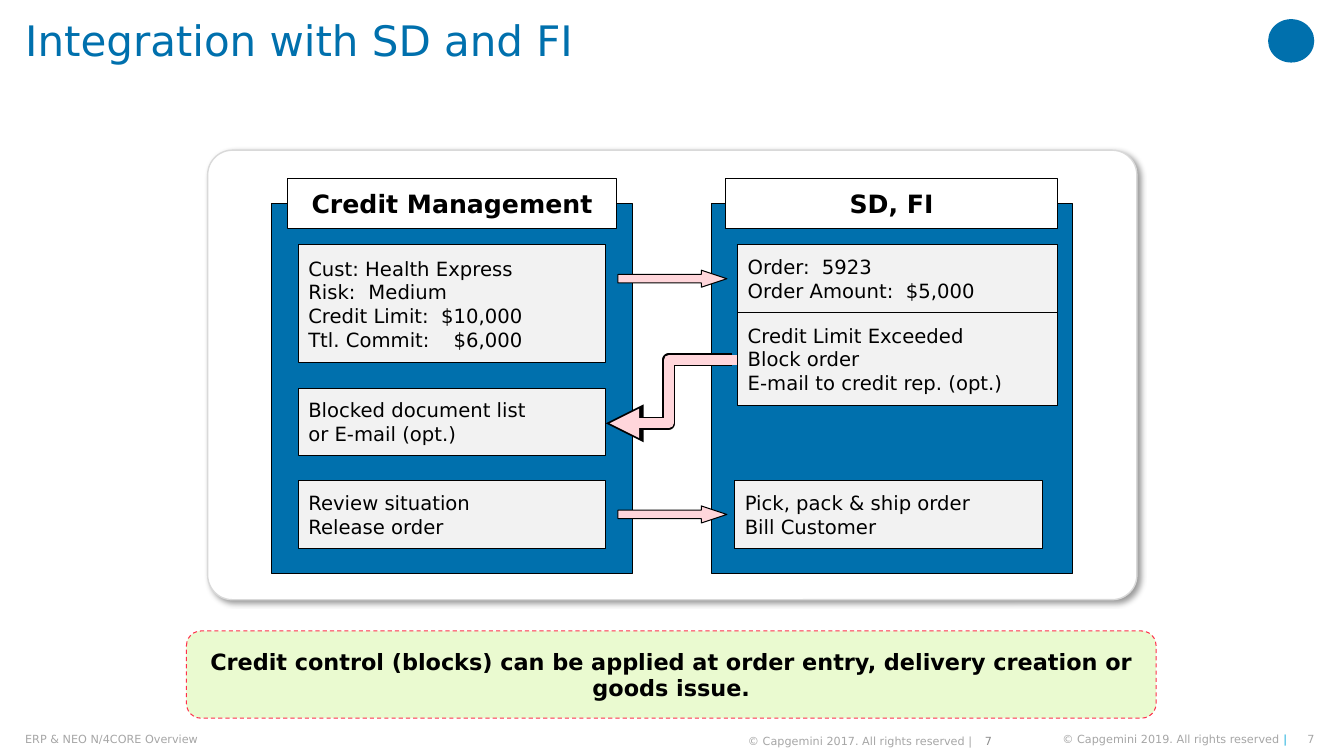
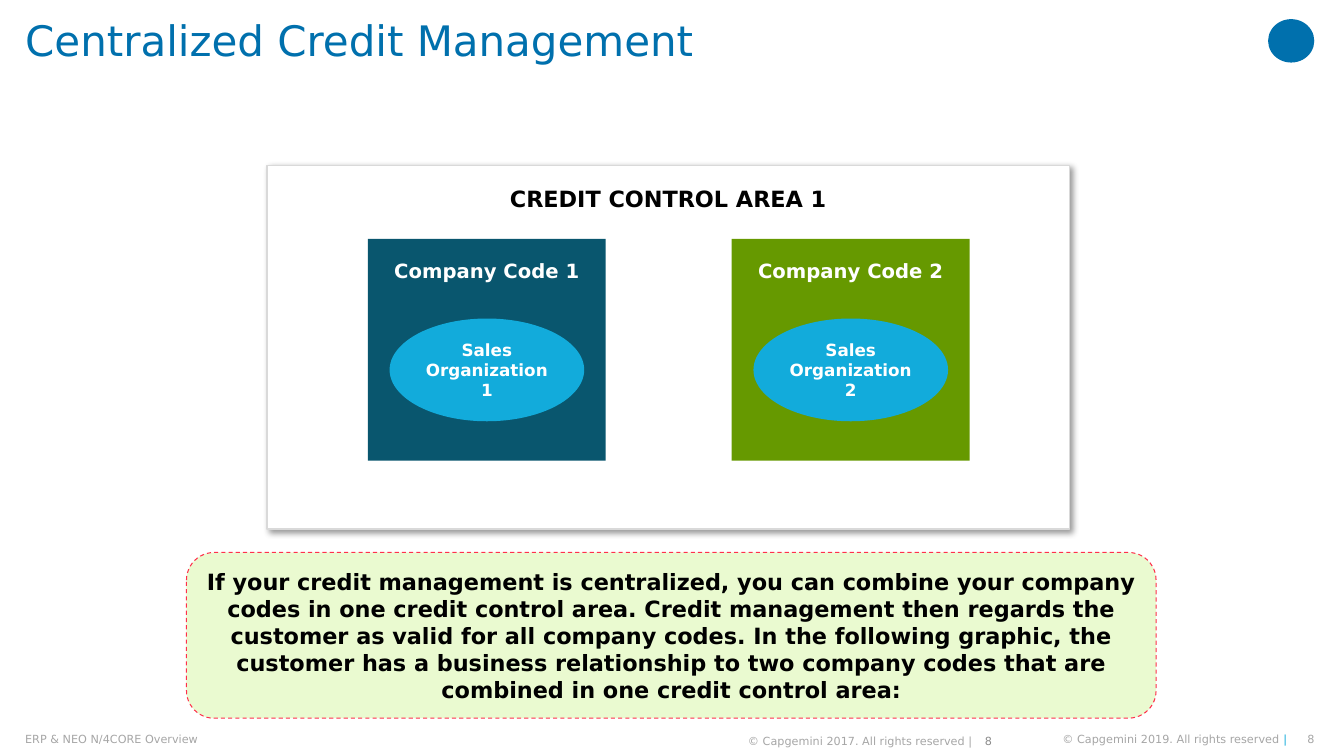
from lxml.etree import SubElement
from pptx import Presentation
from pptx.dml.color import RGBColor as Rgb
from pptx.enum.dml import MSO_LINE_DASH_STYLE as Dash
from pptx.enum.shapes import MSO_CONNECTOR as Link, MSO_SHAPE as Kind
from pptx.enum.text import MSO_ANCHOR as Anchor, MSO_AUTO_SIZE as AutoSize, PP_ALIGN as Align
from pptx.oxml.ns import qn
from pptx.util import Pt

FONT = "DejaVu Sans"
COLORS = {
    "blue": "0070AD", "sky": "12ABDB", "teal": "09566E", "green": "669900",
    "pink": "FFD6DB", "red": "FF304C", "lime": "EAFAD0", "white": "FFFFFF",
    "black": "000000", "pale": "F2F2F2", "rule": "D9D9D9",
    "footer": "A6A6A6", "number": "8C8C8C",
}
INSETS = ("margin_left", "margin_top", "margin_right", "margin_bottom")


def write_text(box, lines, size, color="black", bold=False, align=Align.LEFT,
               anchor=Anchor.MIDDLE, insets=(7.2, 3.6, 7.2, 3.6)):
    frame = box.text_frame
    settings = {"word_wrap": True, "auto_size": AutoSize.NONE, "vertical_anchor": anchor}
    settings.update(zip(INSETS, map(Pt, insets)))
    for name, value in settings.items():
        setattr(frame, name, value)
    for index, (text, *tab) in enumerate(lines):
        para = frame.paragraphs[0] if index == 0 else frame.add_paragraph()
        para.alignment = align
        if tab:
            tabs = SubElement(para._p.get_or_add_pPr(), qn("a:tabLst"))
            SubElement(tabs, qn("a:tab"), pos=str(Pt(tab[0])), algn=tab[1])
        span = para.add_run()
        span.text = text
        for name, value in {"name": FONT, "size": Pt(size), "bold": bold}.items():
            setattr(span.font, name, value)
        span.font.color.rgb = Rgb.from_string(COLORS[color])


def add_box(slide, kind, place, fill, line=None, width=0.75, shadow=False):
    box = slide.shapes.add_shape(kind, *map(Pt, place))
    box.shadow.inherit = False
    box.fill.solid()
    box.fill.fore_color.rgb = Rgb.from_string(COLORS[fill])
    if line:
        box.line.color.rgb = Rgb.from_string(COLORS[line])
        box.line.width = Pt(width)
    else:
        box.line.fill.background()
    if shadow:
        effects = box._element.spPr.find(qn("a:effectLst"))
        outer = SubElement(effects, qn("a:outerShdw"), blurRad=str(Pt(4)), dist=str(Pt(3)),
                           dir="2700000", algn="tl", rotWithShape="0")
        tint = SubElement(outer, qn("a:srgbClr"), val=COLORS["black"])
        SubElement(tint, qn("a:alpha"), val="40000")
    return box


deck = Presentation()
deck.slide_width, deck.slide_height = Pt(960), Pt(540)

pages = [
    (7, "Integration with SD and FI", 450.7,
     "Credit control (blocks) can be applied at order entry, delivery creation or goods issue."),
    (8, "Centralized Credit Management", 394.6,
     "If your credit management is centralized, you can combine your company codes in one "
     "credit control area. Credit management then regards the customer as valid for all "
     "company codes. In the following graphic, the customer has a business relationship to "
     "two company codes that are combined in one credit control area:"),
]
slides = []
for number, heading, note_top, note in pages:
    slide = deck.slides.add_slide(deck.slide_layouts[5])
    slides.append(slide)
    title = slide.shapes.title
    title.left, title.top, title.width, title.height = map(Pt, (18, 0, 876, 57))
    write_text(title, [(heading,)], 30, "blue", anchor=Anchor.TOP, insets=(0, 14.4, 0, 0))
    title.text_frame.paragraphs[0].line_spacing = 0.9

    add_box(slide, Kind.OVAL, (905.8, 13.7, 33, 31), "blue")

    footers = [
        ("ERP & NEO N/4CORE Overview", 18, 523.4, 371.5, "footer", Align.LEFT),
        ("© Capgemini 2017. All rights reserved |", 521.3, 524.9, 173.5, "footer", Align.RIGHT),
        (str(number), 686.2, 524.9, 22.3, "number", Align.RIGHT),
        ("© Capgemini 2019. All rights reserved ", 709.9, 523.4, 209.5, "footer", Align.RIGHT),
        (str(number), 919, 523.4, 20, "footer", Align.RIGHT),
    ]
    for text, left, top, width, color, align in footers:
        box = slide.shapes.add_textbox(*map(Pt, (left, top, width, 9.4)))
        write_text(box, [(text,)], 8, color, align=align, insets=(0, 0, 0, 0))
        if "2019" in text:
            bar = box.text_frame.paragraphs[0].add_run()
            bar.text = "|"
            bar.font.name, bar.font.size = FONT, Pt(8)
            bar.font.color.rgb = Rgb.from_string(COLORS["sky"])

    callout = add_box(slide, Kind.ROUNDED_RECTANGLE, (133.2, note_top, 692.6, 513 - note_top),
                      "lime", "red")
    callout.line.dash_style = Dash.DASH
    write_text(callout, [(note,)], 16, bold=True, align=Align.CENTER, insets=(5.8,) * 4)

flow, areas = slides

panel = add_box(flow, Kind.ROUNDED_RECTANGLE, (148.3, 107.3, 663.8, 321.1),
                "white", "rule", 1, shadow=True)
panel.adjustments[0] = 0.055

for heading, column_left, left, width in [("Credit Management", 193.7, 205.2, 235.4),
                                          ("SD, FI", 508.3, 518.4, 236.9)]:
    add_box(flow, Kind.RECTANGLE, (column_left, 145.4, 257.8, 264.2), "blue", "black")
    header = add_box(flow, Kind.RECTANGLE, (left, 127.4, width, 36), "white", "black")
    write_text(header, [(heading,)], 18, bold=True, align=Align.CENTER)

steps = [
    (213.1, 175, 219.6, 84.2, [("Cust: Health Express",), ("Risk:\tMedium", 43, "l"),
                               ("Credit Limit:\t$10,000", 153, "r"),
                               ("Ttl. Commit:\t$6,000", 153, "r")]),
    (213.1, 277.2, 219.6, 48.2, [("Blocked document list",), ("or E-mail (opt.)",)]),
    (213.1, 343.4, 219.6, 48.2, [("Review situation",), ("Release order",)]),
    (527, 175, 228.2, 48.2, [("Order:\t5923", 53, "l"), ("Order Amount:\t$5,000", 113, "l")]),
    (527, 223.2, 228.2, 66.2, [("Credit Limit Exceeded",), ("Block order",),
                               ("E-mail to credit rep. (opt.)",)]),
    (524.9, 343.4, 219.6, 48.2, [("Pick, pack & ship order",), ("Bill Customer",)]),
]
for *place, lines in steps:
    step = add_box(flow, Kind.RECTANGLE, place, "pale", "black")
    write_text(step, lines, 14)

for top in (193, 361.4):
    arrow = add_box(flow, Kind.RIGHT_ARROW, (441.4, top, 77.8, 12.2), "pink", "black")
    arrow.adjustments[0], arrow.adjustments[1] = 0.5, 1.5

for start, end, color, width, bend in [(522.7, 432.7, "black", 9, 50000),
                                       (526.3, 435.6, "pink", 7, 53600)]:
    elbow = flow.shapes.add_connector(Link.ELBOW, *map(Pt, (start, 257, end, 302.4)))
    elbow.line.color.rgb = Rgb.from_string(COLORS[color])
    elbow.line.width = Pt(width)
    SubElement(elbow.line._get_or_add_ln(), qn("a:tailEnd"), type="triangle")
    properties = elbow._element.spPr
    SubElement(properties, qn("a:effectLst"))
    geometry = properties.find(qn("a:prstGeom"))
    guides = geometry.find(qn("a:avLst"))
    if guides is None:
        guides = SubElement(geometry, qn("a:avLst"))
    SubElement(guides, qn("a:gd"), name="adj1", fmla=f"val {bend}")

area = add_box(areas, Kind.RECTANGLE, (190.8, 118.1, 573.1, 259.9),
               "white", "rule", 1, shadow=True)
write_text(area, [("CREDIT CONTROL AREA 1",)], 16, bold=True, align=Align.CENTER,
           anchor=Anchor.TOP, insets=(8.6, 14.4, 8.6, 3.6))

for number, left, color in [(1, 262.8, "teal"), (2, 522.7, "green")]:
    company = add_box(areas, Kind.RECTANGLE, (left, 170.6, 169.9, 158.4), color)
    write_text(company, [(f"Company Code {number}",)], 14, "white", True, Align.CENTER,
               Anchor.TOP, (7.2, 14.4, 7.2, 3.6))
    sales = add_box(areas, Kind.OVAL, (left + 15.5, 227.5, 139, 73.4), "sky")
    write_text(sales, [(f"Sales Organization {number}",)], 12, "white", True, Align.CENTER,
               insets=(2.9, 3.6, 2.9, 3.6))

deck.save("out.pptx")
